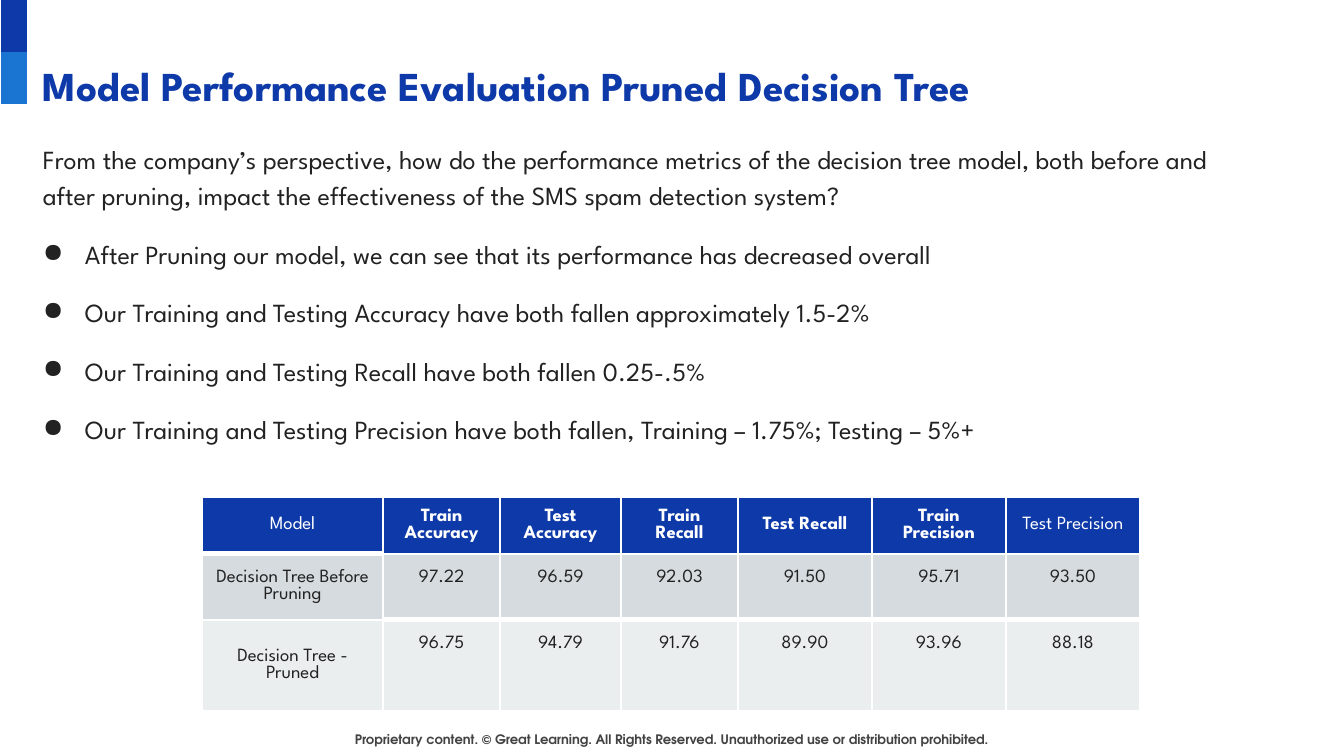
from lxml.etree import SubElement
from pptx import Presentation
from pptx.dml.color import RGBColor
from pptx.enum.shapes import MSO_SHAPE
from pptx.enum.text import MSO_ANCHOR, PP_ALIGN
from pptx.oxml.ns import qn
from pptx.util import Emu, Pt

SCALE = 914400 / 134.4
COLORS = {"navy": "0E39A9", "blue": "1974D2", "ink": "222222", "gray": "434343",
          "white": "FFFFFF", "before": "D5DBDE", "pruned": "EBEEEF"}
BODY_FONT = "League Spartan"
QUESTION = ("From the company’s perspective, how do the performance metrics of the decision tree model, "
            "both before and after pruning, impact the effectiveness of the SMS spam detection system?")
FINDINGS = [
    "After Pruning our model, we can see that its performance has decreased overall",
    "Our Training and Testing Accuracy have both fallen approximately 1.5-2%",
    "Our Training and Testing Recall have both fallen 0.25-.5%",
    "Our Training and Testing Precision have both fallen, Training – 1.75%; Testing – 5%+",
]
METRICS = [
    ["Model\u00a0".strip(), "Train Accuracy", "Test Accuracy", "Train Recall", "Test Recall",
     "Train Precision", "Test Precision"],
    ["Decision Tree Before Pruning", "97.22", "96.59", "92.03", "91.50", "95.71", "93.50"],
    ["Decision Tree - Pruned", "96.75", "94.79", "91.76", "89.90", "93.96", "88.18"],
]
COLUMN_WIDTHS = [181, 117, 121, 117, 134, 134, 134]
ROW_HEIGHTS = [50, 66, 91]
ROW_FILLS = ["navy", "before", "pruned"]


def px(length):
    return Emu(round(length * SCALE))


def rgb(name):
    return RGBColor.from_string(COLORS[name])


def style(paragraph, size, color, bold=False, name=BODY_FONT):
    font = paragraph.font
    font.size, font.bold, font.name = Pt(size), bold, name
    font.color.rgb = rgb(color)


def add_frame(slide, box, anchor=MSO_ANCHOR.TOP):
    frame = slide.shapes.add_textbox(*map(px, box)).text_frame
    frame.word_wrap = True
    frame.vertical_anchor = anchor
    frame.margin_left = frame.margin_right = px(13)
    frame.margin_top = frame.margin_bottom = px(13)
    return frame


def add_accent(slide, box):
    left, top, width, height = box
    half = height // 2
    for index, color in enumerate(["navy", "blue"]):
        band = slide.shapes.add_shape(
            MSO_SHAPE.RECTANGLE, px(left), px(top + index * half), px(width), px(half))
        band.shadow.inherit = False
        band.fill.solid()
        band.fill.fore_color.rgb = rgb(color)
        band.line.fill.background()


def add_title(slide, box):
    heading = add_frame(slide, box, MSO_ANCHOR.MIDDLE).paragraphs[0]
    heading.text = "Model Performance Evaluation Pruned Decision Tree"
    style(heading, 22, "navy", True)


def add_bullet(paragraph):
    properties = paragraph._p.get_or_add_pPr()
    properties.set("marL", str(px(42)))
    properties.set("indent", str(-px(42)))
    bullet_color = SubElement(properties, qn("a:buClr"))
    SubElement(bullet_color, qn("a:srgbClr")).set("val", COLORS["ink"])
    SubElement(properties, qn("a:buChar")).set("char", "●")


def add_findings(slide, box):
    frame = add_frame(slide, box)
    for index, text in enumerate([QUESTION, *FINDINGS]):
        paragraph = frame.add_paragraph() if index else frame.paragraphs[0]
        paragraph.text = text
        paragraph.line_spacing = 1.15
        paragraph.space_after = Pt(6)
        if index:
            paragraph.space_before = Pt(6)
            add_bullet(paragraph)
        style(paragraph, 14, "ink")


def set_borders(cell, top, bottom):
    properties = cell._tc.get_or_add_tcPr()
    for position, (side, width) in enumerate([("L", 1), ("R", 1), ("T", top), ("B", bottom)]):
        border = properties.makeelement(qn(f"a:ln{side}"), {"w": str(Pt(width))})
        fill = SubElement(border, qn("a:solidFill"))
        SubElement(fill, qn("a:srgbClr")).set("val", COLORS["white"])
        properties.insert(position, border)


def add_metrics(slide, box):
    table = slide.shapes.add_table(len(METRICS), len(METRICS[0]), *map(px, box)).table
    for column, width in zip(table.columns, COLUMN_WIDTHS):
        column.width = px(width)
    for row, height in zip(table.rows, ROW_HEIGHTS):
        row.height = px(height)
    last = len(COLUMN_WIDTHS) - 1
    for r, values in enumerate(METRICS):
        for c, value in enumerate(values):
            cell = table.cell(r, c)
            is_header, is_value = r == 0, r > 0 and c > 0
            cell.fill.solid()
            cell.fill.fore_color.rgb = rgb(ROW_FILLS[r])
            cell.vertical_anchor = MSO_ANCHOR.TOP if is_value else MSO_ANCHOR.MIDDLE
            cell.margin_left = cell.margin_right = px(13)
            cell.margin_top = cell.margin_bottom = px(13 if is_value else 6)
            paragraph = cell.text_frame.paragraphs[0]
            paragraph.text = value
            paragraph.alignment = PP_ALIGN.CENTER
            if is_value:
                paragraph.line_spacing = 1.15
            style(paragraph, 10, "white" if is_header else "ink", is_header and 0 < c < last)
            set_borders(cell, 3 if is_value and r == 2 else 1,
                        3 if (r, c) == (0, 0) or is_value and r == 1 else 1)


def add_footer(slide, box):
    notice = add_frame(slide, box).paragraphs[0]
    notice.text = ("Proprietary content. © Great Learning. All Rights Reserved. "
                   "Unauthorized use or distribution prohibited.")
    notice.alignment = PP_ALIGN.CENTER
    notice.line_spacing = 1.02
    style(notice, 7, "gray", True, "TeX Gyre Adventor")


def main():
    presentation = Presentation()
    presentation.slide_width, presentation.slide_height = px(1344), px(756)
    slide = presentation.slides.add_slide(presentation.slide_layouts[6])
    add_footer(slide, (328, 723, 687, 40))
    add_accent(slide, (1, 0, 26, 104))
    add_title(slide, (30, 43, 1253, 85))
    add_findings(slide, (30, 126, 1222, 370))
    add_metrics(slide, (202, 497, sum(COLUMN_WIDTHS), sum(ROW_HEIGHTS)))
    presentation.save("out.pptx")


if __name__ == "__main__":
    main()
